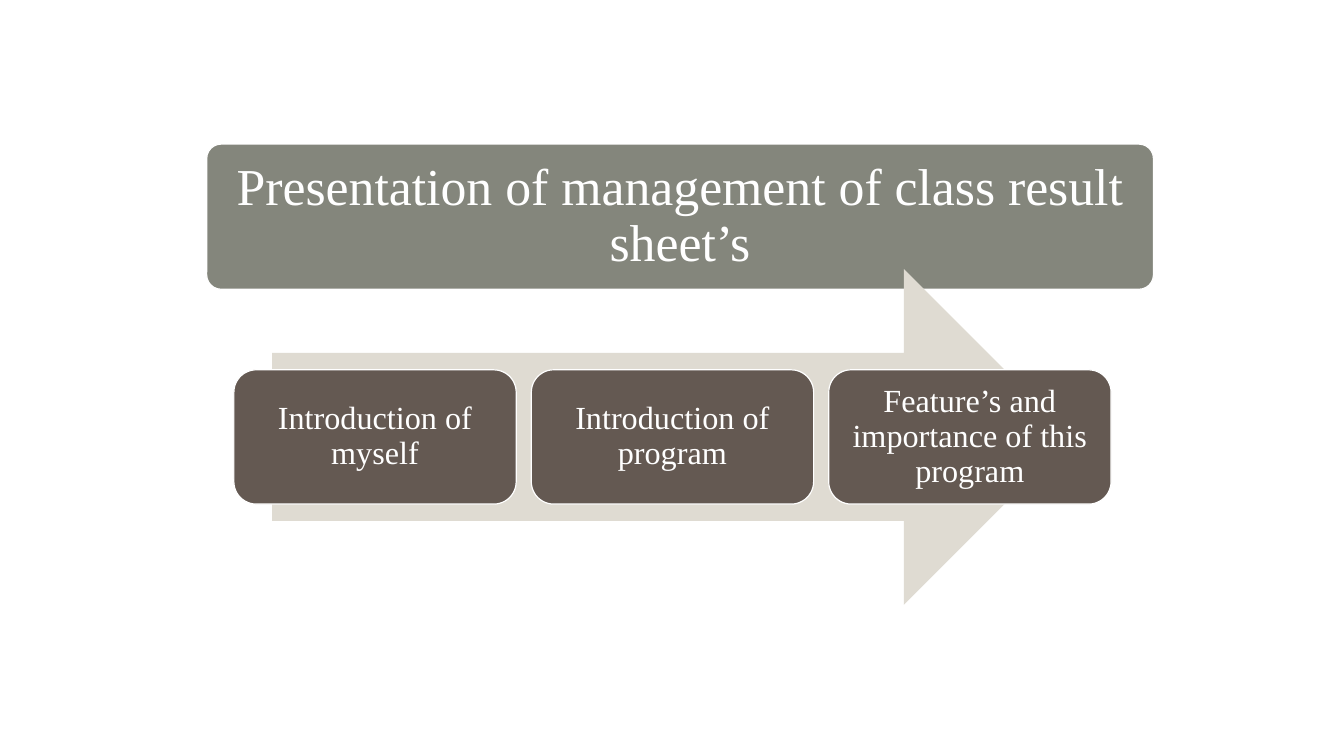
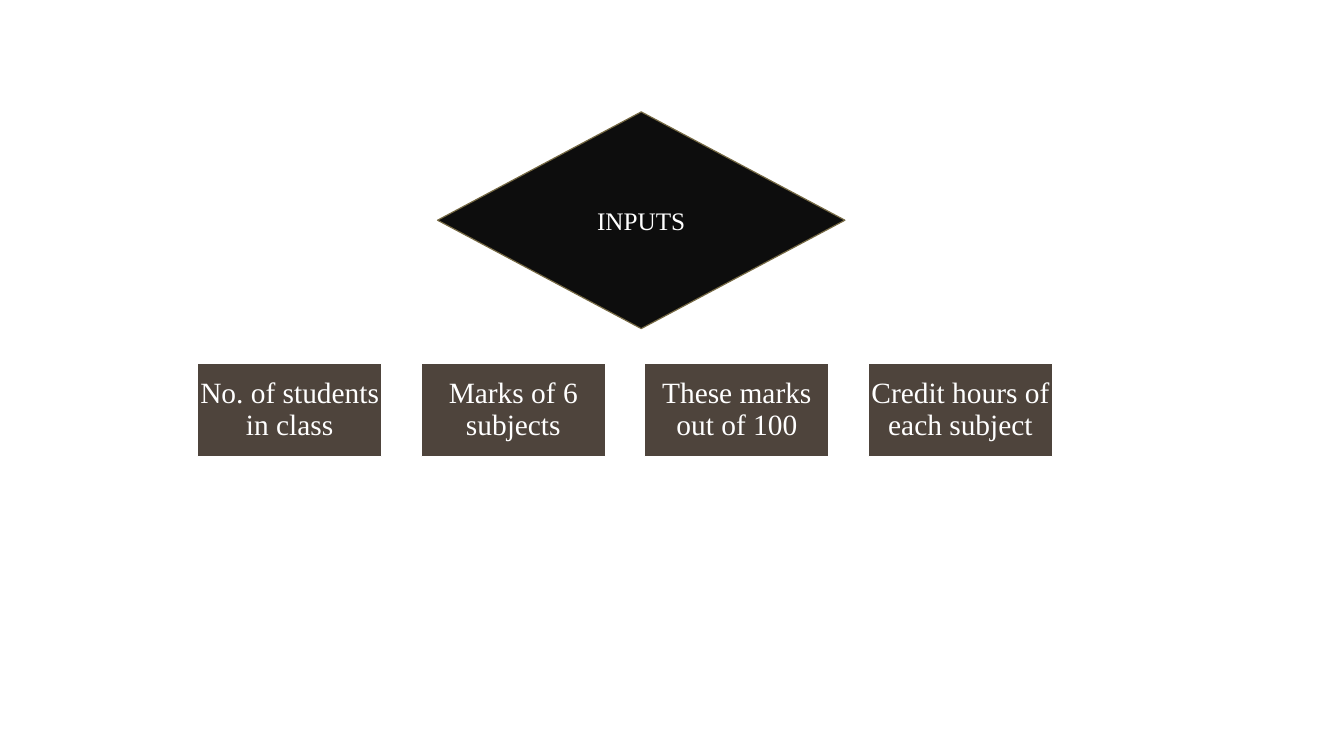
from pptx import Presentation
from pptx.dml.color import RGBColor
from pptx.enum.shapes import MSO_SHAPE as Kind
from pptx.enum.text import MSO_ANCHOR as Anchor, MSO_AUTO_SIZE as Fit, PP_ALIGN as Align
from pptx.util import Inches, Pt

WHITE = RGBColor(0xFF, 0xFF, 0xFF)
SAGE = RGBColor(0x84, 0x86, 0x7C)
SAND = RGBColor(0xDF, 0xDB, 0xD2)
BROWN = RGBColor(0x64, 0x59, 0x52)
UMBER = RGBColor(0x4E, 0x44, 0x3C)
BLACK = RGBColor(0x0D, 0x0D, 0x0D)
OLIVE = RGBColor(0x75, 0x69, 0x44)
FONT = "Times New Roman"


def write(shape, text, size, inset=0.1, space=0.9, color=WHITE):
    """Write centred text in a shape with the given format."""
    frame = shape.text_frame
    frame.word_wrap = True
    frame.auto_size = Fit.NONE
    frame.vertical_anchor = Anchor.MIDDLE
    frame.margin_left = frame.margin_right = Inches(inset)
    frame.margin_top = frame.margin_bottom = Inches(inset)
    frame.text = text
    para = frame.paragraphs[0]
    para.alignment = Align.CENTER
    para.line_spacing = space
    font = para.runs[0].font
    font.name, font.size, font.color.rgb = FONT, Pt(size), color


def draw(slide, kind, box, fill, line=WHITE):
    """Add a flat shape, outlined unless line is None."""
    shape = slide.shapes.add_shape(kind, *map(Inches, box))
    shape.shadow.inherit = False
    shape.fill.solid()
    shape.fill.fore_color.rgb = fill
    if line is None:
        shape.line.fill.background()
    else:
        shape.line.color.rgb = line
        shape.line.width = Pt(0.85)
    return shape


def banner(slide, box, text):
    """Place the slide title on a rounded band."""
    band = draw(slide, Kind.ROUNDED_RECTANGLE, box, SAGE)
    band.adjustments[0] = 0.1
    left, top, width, height = box
    pad = 0.04
    title = slide.shapes.title
    title.left, title.top = Inches(left + pad), Inches(top + pad)
    title.width, title.height = Inches(width - 2 * pad), Inches(height - 2 * pad)
    write(title, text, 37, inset=0.15)
    band.element.addnext(title.element)


def row(slide, box, texts, gap, kind, fill, **style):
    """Spread equal text boxes across a box."""
    left, top, width, height = box
    wide = (width - gap * (len(texts) - 1)) / len(texts)
    for i, text in enumerate(texts):
        place = (left + i * (wide + gap), top, wide, height)
        write(draw(slide, kind, place, fill), text, **style)


def process(slide, box, steps):
    """Draw an arrow with a row of steps across its middle."""
    left, top, width, height = box
    side = 0.38
    draw(slide, Kind.RIGHT_ARROW, (left + side, top, 7.93, height), SAND, line=None)
    tall = height * 0.4
    band = (left, top + (height - tall) / 2, width, tall)
    row(slide, band, steps, 0.15, Kind.ROUNDED_RECTANGLE, BROWN, size=23)


def inputs(slide, box, head, items):
    """Draw a decision diamond above a row of inputs."""
    left, top, width, height = box
    tall = 0.92
    row(slide, (left, top + height - tall, width, tall), items, 0.39,
        Kind.RECTANGLE, UMBER, size=21, inset=0.01)
    gem = draw(slide, Kind.FLOWCHART_DECISION, (left + 2.38, top, 4.04, 2.15), BLACK, OLIVE)
    write(gem, head, 18, space=1.0)


def main():
    """Build and save both slides."""
    deck = Presentation()
    deck.slide_width, deck.slide_height = Inches(13.33), Inches(7.5)
    slide = deck.slides.add_slide(deck.slide_layouts[5])
    banner(slide, (2.05, 1.43, 9.39, 1.44),
           "Presentation of management of class result sheet’s")
    process(slide, (2.32, 2.67, 8.7, 3.33),
            ["Introduction of myself", "Introduction of program",
             "Feature’s and importance of this program"])
    slide = deck.slides.add_slide(deck.slide_layouts[6])
    inputs(slide, (1.96, 1.11, 8.48, 3.42), "INPUTS",
           ["No. of students in class", "Marks of 6 subjects",
            "These marks out of 100", "Credit hours of each subject"])
    deck.save("out.pptx")


if __name__ == "__main__":
    main()
